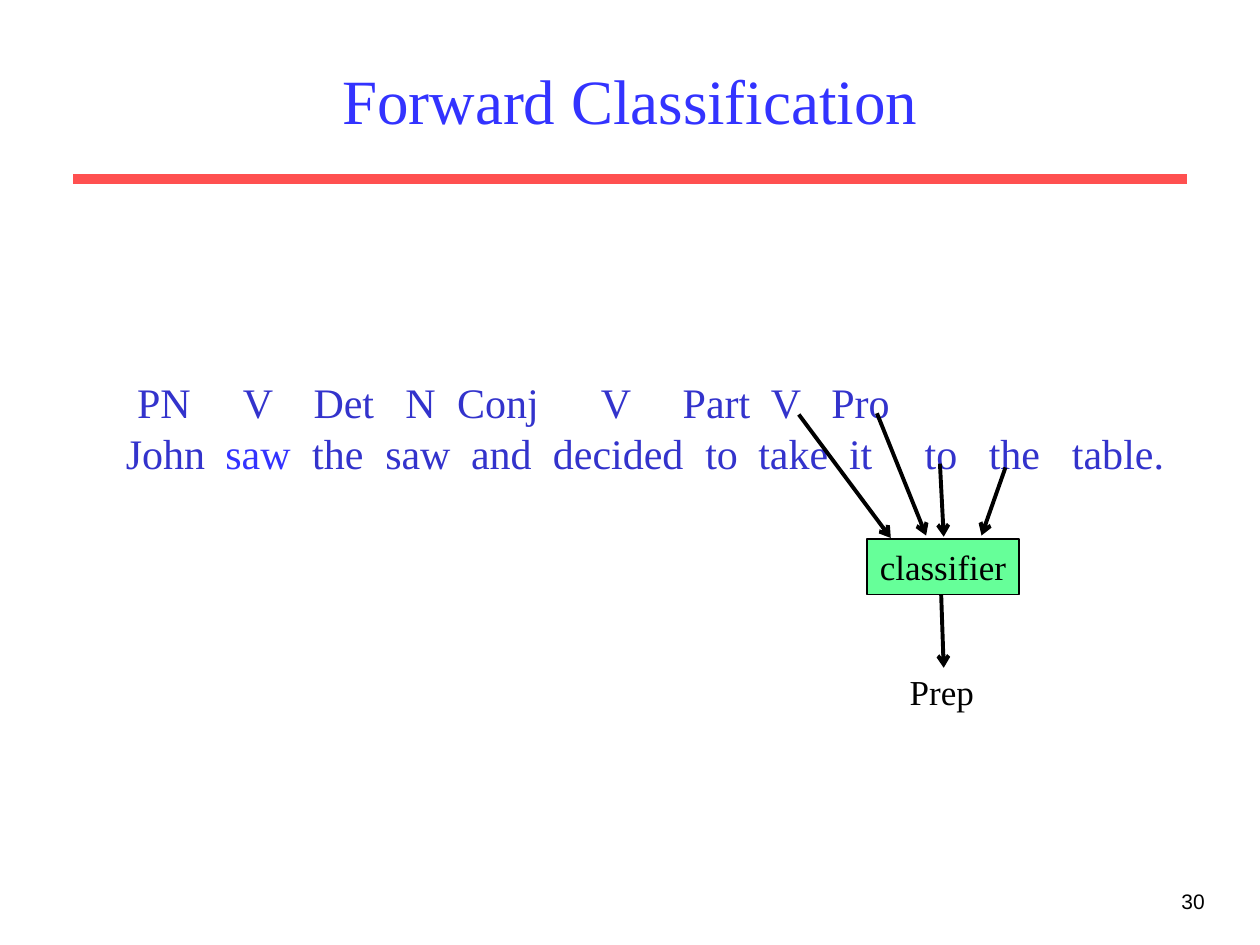
from pptx import Presentation
from pptx.dml.color import RGBColor
from pptx.enum.shapes import MSO_CONNECTOR as Connector, MSO_SHAPE as Shape
from pptx.enum.text import MSO_ANCHOR as Anchor, PP_ALIGN as Align
from pptx.oxml.ns import qn
from pptx.util import Inches, Pt
from lxml.etree import SubElement

TITLE_BLUE = RGBColor(0x33, 0x33, 0xFF)
TEXT_BLUE = RGBColor(0x33, 0x33, 0xCC)
RED = RGBColor(0xFF, 0x50, 0x50)
GREEN = RGBColor(0x66, 0xFF, 0x99)
BLACK = RGBColor(0, 0, 0)
SERIF, SANS = "Times New Roman", "Arial"

# Content: each word with its tab position in inches
TAGS = [("PN", 0.09), ("V", 0.93), ("Det", 1.49), ("N", 2.22), ("Conj", 2.63),
        ("V", 3.77), ("Part", 4.42), ("V", 5.12), ("Pro", 5.60)]
WORDS = [("John", 0), ("saw", 0.79), ("the", 1.48), ("saw", 2.06), ("and", 2.74),
         ("decided", 3.39), ("to", 4.60), ("take", 5.02), ("it", 5.74),
         ("to", 6.34), ("the", 6.85), ("table.", 7.51)]
HIGHLIGHTED = 1  # index of the verb "saw" in WORDS

# Text, box, size, font, colour, alignment, anchor
LABELS = [
    ("30", (7.58, 7, 2.08, 0.5), 12, SANS, BLACK, Align.RIGHT, Anchor.TOP),
    ("Forward Classification", (0.75, 0.25, 8.5, 1.08), 36, SERIF, TITLE_BLUE,
     Align.CENTER, Anchor.MIDDLE),
    ("Prep", (7.09, 5.27, 0.77, 0.44), 20, SERIF, BLACK, Align.CENTER, Anchor.TOP),
]
CLASSIFIER_BOX = (6.88, 4.28, 1.21, 0.44)
ARROWS = [
    ((6.34, 3.29), (7.07, 4.27)),  # tag of "take"
    ((6.96, 3.28), (7.35, 4.25)),  # tag of "it"
    ((7.46, 3.68), (7.49, 4.26)),  # word to classify
    ((7.98, 3.71), (7.79, 4.25)),  # next word
    ((7.47, 4.72), (7.49, 5.30)),  # result
]

prs = Presentation()
prs.slide_width, prs.slide_height = Inches(10), Inches(7.5)
slide = prs.slides.add_slide(prs.slide_layouts[6])


def inches(values):
    return [Inches(value) for value in values]


def add_text(paragraph, text, size, font, color):
    run = paragraph.add_run()
    run.text = text
    for key, value in {"size": Pt(size), "name": font}.items():
        setattr(run.font, key, value)
    run.font.color.rgb = color


def add_line(start, end, color, width, arrow=False):
    line = slide.shapes.add_connector(Connector.STRAIGHT, *inches(start + end))
    line.line.color.rgb, line.line.width = color, Pt(width)
    if arrow:
        SubElement(line.line._get_or_add_ln(), qn("a:tailEnd"), type="arrow")
    SubElement(line._element.spPr, qn("a:effectLst"))


def fill_label(holder, text, size, font, color, align, anchor):
    frame = holder.text_frame
    frame.word_wrap, frame.vertical_anchor = True, anchor
    for side in ("top", "bottom"):
        setattr(frame, f"margin_{side}", Inches(0.05))
    frame.paragraphs[0].alignment = align
    add_text(frame.paragraphs[0], text, size, font, color)


def fill_row(paragraph, row, highlighted=None):
    stops = SubElement(paragraph._p.get_or_add_pPr(), qn("a:tabLst"))
    for index, (word, position) in enumerate(row):
        if position:
            SubElement(stops, qn("a:tab"), pos=str(Inches(position)), algn="l")
        color = TITLE_BLUE if index == highlighted else TEXT_BLUE
        add_text(paragraph, ("\t" if position else "") + word, 24, SERIF, color)


# Rule, title, page number and result
add_line((0.58, 1.42), (9.42, 1.42), RED, 6)
for text, box, *style in LABELS:
    fill_label(slide.shapes.add_textbox(*inches(box)), text, *style)

# Tagged sentence
sentence = slide.shapes.add_textbox(*inches((0.9, 2.94, 8.5, 0.9))).text_frame
sentence.word_wrap = True
fill_row(sentence.paragraphs[0], TAGS)
fill_row(sentence.add_paragraph(), WORDS, HIGHLIGHTED)

# Classifier and its arrows
classifier = slide.shapes.add_shape(Shape.RECTANGLE, *inches(CLASSIFIER_BOX))
classifier.shadow.inherit = False
classifier.fill.solid()
classifier.fill.fore_color.rgb = GREEN
classifier.line.color.rgb, classifier.line.width = BLACK, Pt(1)
fill_label(classifier, "classifier", 20, SERIF, BLACK, Align.CENTER, Anchor.MIDDLE)
for start, end in ARROWS:
    add_line(start, end, BLACK, 2.25, arrow=True)

prs.save("out.pptx")
